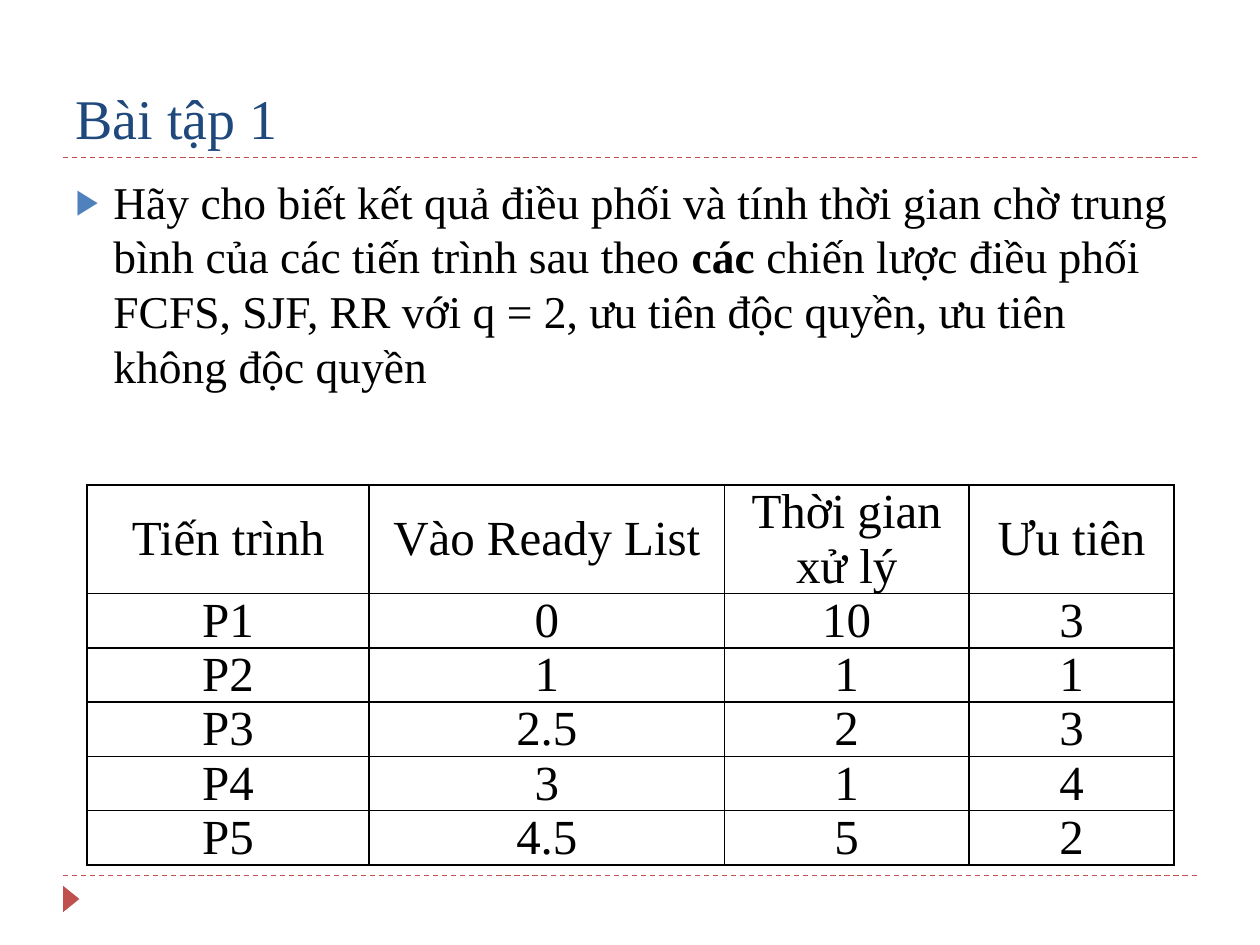
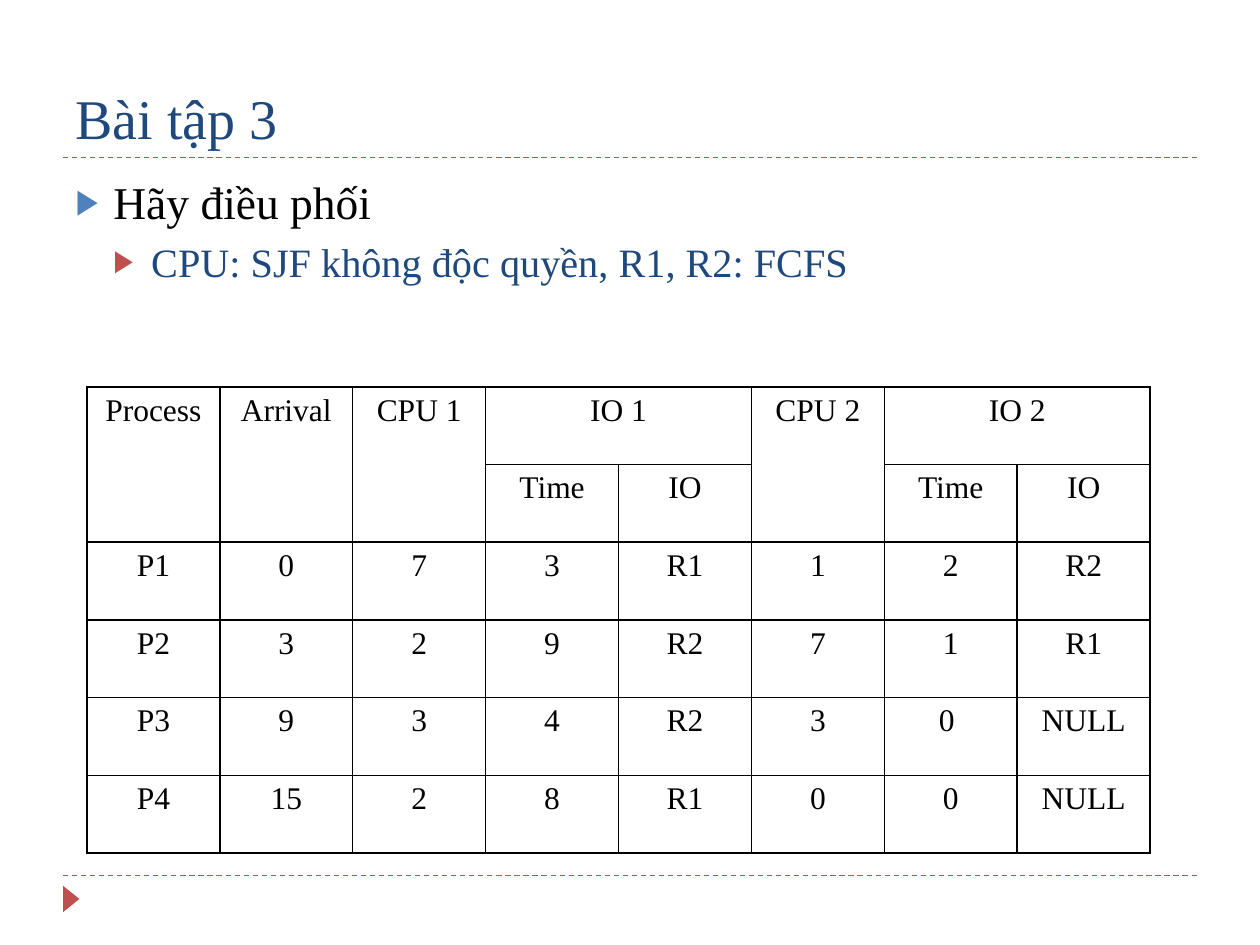
import pptx
import pptx.dml.color
import pptx.enum.dml
import pptx.enum.shapes
import pptx.enum.text
import pptx.oxml
import pptx.oxml.ns
import pptx.util
from lxml import etree

FONT = "Times New Roman"
BLACK, NAVY, BLUE, RED = "000000", "1F497D", "4F81BD", "C0504D"
COLUMNS, ROWS = 20, 15
WIDTH, HEIGHT = pptx.util.Inches(10), pptx.util.Inches(7.5)
# Size, text colour, bullet colour and space before for each list level
LEVELS = [(26, BLACK, BLUE, 6), (23, NAVY, RED, 5)]


def across(columns):
    return round(WIDTH * columns / COLUMNS)


def down(rows):
    return round(HEIGHT * rows / ROWS)


def color(value):
    return pptx.dml.color.RGBColor.from_string(value)


def add_element(parent, tag, **attributes):
    element = etree.SubElement(parent, pptx.oxml.ns.qn(tag))
    for name, value in attributes.items():
        element.set(name, str(value))
    return element


def write(paragraph, text, size, text_color=BLACK, bold=False, align="LEFT"):
    run = paragraph.add_run()
    run.text = text
    run.font.name, run.font.size, run.font.bold = FONT, pptx.util.Pt(size), bold
    run.font.color.rgb = color(text_color)
    paragraph.alignment = getattr(pptx.enum.text.PP_ALIGN, align)


def add_bullet(paragraph, level, bullet_color):
    """Add a triangle bullet with a hanging indent that grows with the level."""
    indent = pptx.util.Inches(0.3)
    properties = paragraph._p.get_or_add_pPr()
    properties.set("marL", str(indent * (level + 1)))
    properties.set("indent", str(-indent))
    add_element(add_element(properties, "a:buClr"), "a:srgbClr", val=bullet_color)
    add_element(properties, "a:buSzPct", val=76000)
    add_element(properties, "a:buChar", char="▶")


def add_borders(cell):
    properties = cell._tc.get_or_add_tcPr()
    for position, side in enumerate(("a:lnL", "a:lnR", "a:lnT", "a:lnB")):
        border = add_element(properties, side, w=pptx.util.Pt(1))
        add_element(add_element(border, "a:solidFill"), "a:srgbClr", val=BLACK)
        properties.insert(position, border)


class Deck:
    def __init__(self):
        self.presentation = pptx.Presentation()
        self.presentation.slide_width = WIDTH
        self.presentation.slide_height = HEIGHT
        self.slide = None

    def add_slide(self, title, items):
        self.slide = self.presentation.slides.add_slide(self.presentation.slide_layouts[1])
        for row in (13.9, 2.5):
            self.add_rule(row)
        self.add_marker()
        self.fill_title(title)
        self.fill_body(items)

    def add_rule(self, row):
        rule = self.slide.shapes.add_connector(
            pptx.enum.shapes.MSO_CONNECTOR.STRAIGHT,
            across(1), down(row), across(COLUMNS - 1), down(row))
        rule.line.color.rgb = color(RED)
        rule.line.width = pptx.util.Pt(0.75)
        rule.line.dash_style = pptx.enum.dml.MSO_LINE.DASH
        add_element(rule._element.spPr, "a:effectLst")

    def add_marker(self):
        marker = self.slide.shapes.add_shape(
            pptx.enum.shapes.MSO_SHAPE.ISOSCELES_TRIANGLE,
            across(0.92), down(14.14), across(0.42), down(0.26))
        marker.rotation = 90
        marker.shadow.inherit = False
        marker.fill.solid()
        marker.fill.fore_color.rgb = color(RED)
        marker.line.fill.background()

    def place(self, shape, row, height, anchor):
        """Set a placeholder over the content width and return its text frame."""
        shape.left, shape.top = across(1), down(row)
        shape.width, shape.height = across(COLUMNS - 2), down(height)
        frame = shape.text_frame
        frame.word_wrap = True
        frame.auto_size = pptx.enum.text.MSO_AUTO_SIZE.NONE
        frame.vertical_anchor = anchor
        return frame

    def fill_title(self, text):
        frame = self.place(self.slide.shapes.title, 0.34, 2.16, pptx.enum.text.MSO_ANCHOR.BOTTOM)
        write(frame.paragraphs[0], text, size=32, text_color=NAVY)

    def fill_body(self, items):
        """Write one list item per level, each a list of (text, bold) runs."""
        frame = self.place(self.slide.placeholders[1], 2.66, 10.8, pptx.enum.text.MSO_ANCHOR.TOP)
        for level, runs in enumerate(items):
            size, text_color, bullet_color, space = LEVELS[level]
            paragraph = frame.add_paragraph() if level else frame.paragraphs[0]
            paragraph.level = level
            paragraph.space_before = pptx.util.Pt(space)
            add_bullet(paragraph, level, bullet_color)
            for text, bold in runs:
                write(paragraph, text, size, text_color, bold)

    def add_table(self, row, height, widths, heights, values, size, merges=(), tight=False):
        """Add a ruled table; tight cells have no inset above and below."""
        frame = self.slide.shapes.add_table(
            len(values), len(widths), across(1.38), down(row), across(sum(widths)), down(height))
        table = frame.table
        table.first_row = table.horz_banding = False
        for column, width in zip(table.columns, widths):
            column.width = across(width)
        for table_row, row_height in zip(table.rows, heights):
            table_row.height = down(row_height)
        frame.height = down(height)
        for row_index, texts in enumerate(values):
            for column_index, text in enumerate(texts):
                cell = table.cell(row_index, column_index)
                cell.fill.background()
                add_borders(cell)
                if tight:
                    cell.margin_left = cell.margin_right = pptx.util.Inches(0.07)
                    cell.margin_top = cell.margin_bottom = 0
                    if row_index == 0:
                        cell.vertical_anchor = pptx.enum.text.MSO_ANCHOR.MIDDLE
                if text:
                    write(cell.text_frame.paragraphs[0], text, size, align="CENTER")
        for first, last in merges:
            table.cell(*first).merge(table.cell(*last))


def main():
    deck = Deck()

    deck.add_slide("Bài tập 1", [[
        ("Hãy cho biết kết quả điều phối và tính thời gian chờ trung bình "
         "của các tiến trình sau theo ", False),
        ("các ", True),
        ("chiến lược điều phối FCFS, SJF, RR với q = 2, ưu tiên độc quyền, "
         "ưu tiên không độc quyền", False),
    ]])
    processes = [
        ("Tiến trình", "Vào Ready List", "Thời gian xử lý", "Ưu tiên"),
        ("P1", "0", "10", "3"),
        ("P2", "1", "1", "1"),
        ("P3", "2.5", "2", "3"),
        ("P4", "3", "1", "4"),
        ("P5", "4.5", "5", "2"),
    ]
    deck.add_table(7.7, 6.54, [4.48, 5.64, 3.88, 3.26], [0.84] + [0.42] * 5,
                   processes, size=28, tight=True)

    deck.add_slide("Bài tập 3", [
        [("Hãy điều phối", False)],
        [("CPU: SJF không độc quyền, R1, R2: FCFS", False)],
    ])
    bursts = [
        ("Process", "Arrival", "CPU 1", "IO 1", "", "CPU 2", "IO 2", ""),
        ("", "", "", "Time", "IO", "", "Time", "IO"),
        ("P1", "0", "7", "3", "R1", "1", "2", "R2"),
        ("P2", "3", "2", "9", "R2", "7", "1", "R1"),
        ("P3", "9", "3", "4", "R2", "3", "0 ", "NULL"),
        ("P4", "15", "2", "8", "R1", "0", "0", "NULL"),
    ]
    tall = [((0, column), (1, column)) for column in (0, 1, 2, 5)]
    wide = [((0, column), (0, column + 1)) for column in (3, 6)]
    deck.add_table(6.14, 7.4, [2.11] * 8, [7.4 / 6] * 6, bursts, size=18, merges=tall + wide)

    deck.presentation.save("out.pptx")


if __name__ == "__main__":
    main()
